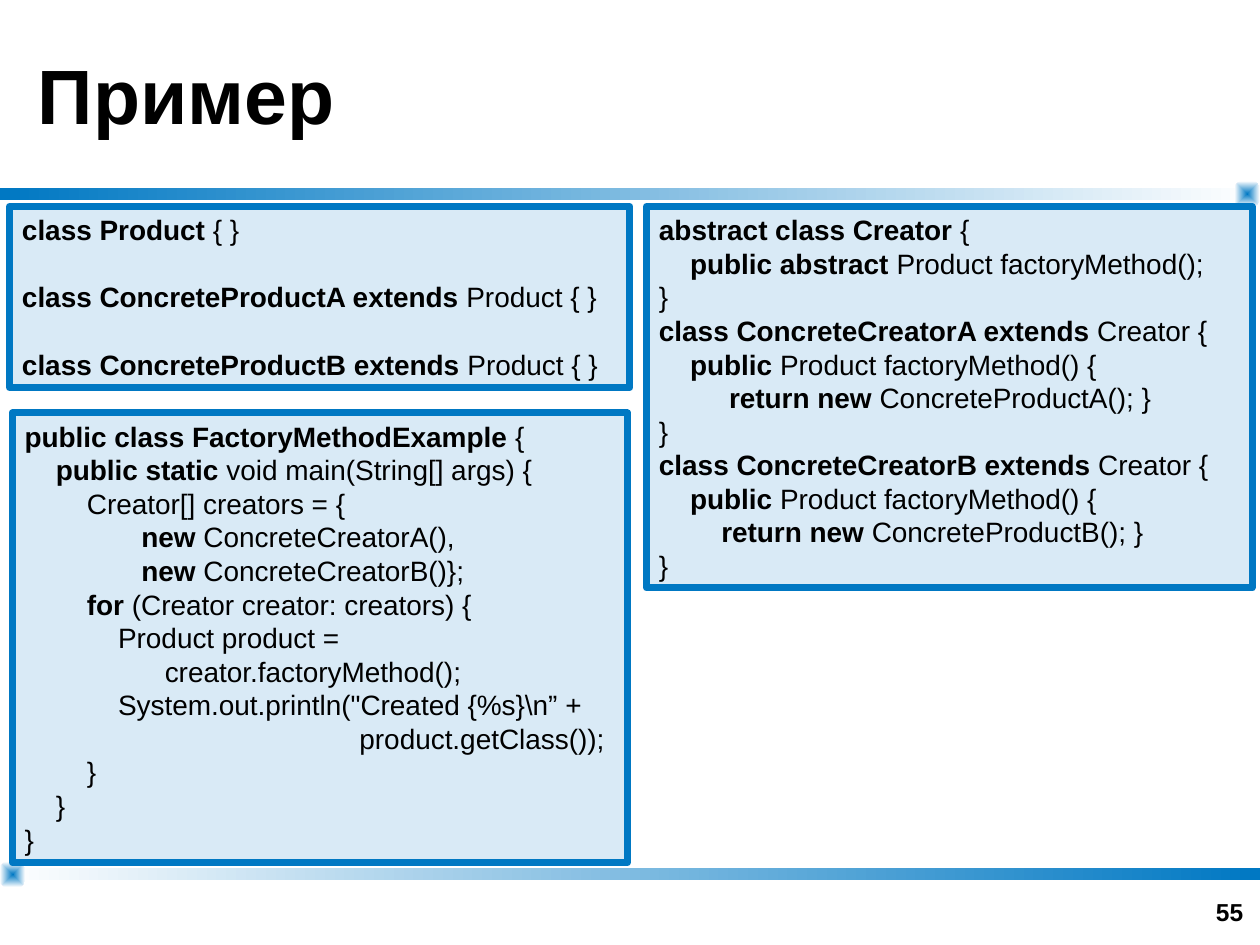
from dataclasses import dataclass

from lxml import etree
from pptx import Presentation
from pptx.dml.color import RGBColor
from pptx.enum.shapes import MSO_SHAPE
from pptx.enum.text import MSO_ANCHOR, PP_ALIGN
from pptx.oxml.ns import qn
from pptx.util import Pt

RECT = MSO_SHAPE.RECTANGLE
ROUND = MSO_SHAPE.ROUNDED_RECTANGLE
MIDDLE, BOTTOM = MSO_ANCHOR.MIDDLE, MSO_ANCHOR.BOTTOM
LEFT, RIGHT = PP_ALIGN.LEFT, PP_ALIGN.RIGHT
BLUE, WHITE, BLACK = "0078C3", "FFFFFF", "000000"
CODE_SIZE, LINE_HEIGHT, SPACE_WIDTH = 16, 19.2, 4.45


@dataclass
class Box:
    x: float
    y: float
    w: float
    h: float


@dataclass
class Band:
    box: Box
    start: str
    end: str


@dataclass
class CodePanel:
    box: Box
    code: str


BANDS = [
    Band(Box(0, 107.5, 720, 7), BLUE, WHITE),
    Band(Box(0, 496, 720, 7), WHITE, BLUE),
]
CORNERS = [Box(705.5, 103.5, 14.5, 14.5), Box(0, 492.5, 14.5, 14.5)]

PANELS = [
    CodePanel(Box(5.5, 118, 354.5, 103.5), """\
*class Product* { }

*class ConcreteProductA extends* Product { }

*class ConcreteProductB extends* Product { }"""),
    CodePanel(Box(7, 236, 351.5, 257), r"""*public class FactoryMethodExample* {
    *public static* void main(String[] args) {
        Creator[] creators = {
               *new* ConcreteCreatorA(),
               *new* ConcreteCreatorB()};
        *for* (Creator creator: creators) {
            Product product =
                  creator.factoryMethod();
            System.out.println("Created {%s}\n” +
                                           product.getClass());
        }
    }
}"""),
    CodePanel(Box(369.5, 118, 346, 218), """\
*abstract class Creator* {
    *public abstract* Product factoryMethod();
}
*class ConcreteCreatorA extends* Creator {
    *public* Product factoryMethod() {
         *return new* ConcreteProductA(); }
}
*class ConcreteCreatorB extends* Creator {
    *public* Product factoryMethod() {
        *return new* ConcreteProductB(); }
}"""),
]


def rgb(color: str) -> RGBColor:
    return RGBColor.from_string(color)


def set_all(obj, values: dict) -> None:
    for name, value in values.items():
        setattr(obj, name, value)


def place(sp, box: Box) -> None:
    set_all(sp, {"left": Pt(box.x), "top": Pt(box.y),
                 "width": Pt(box.w), "height": Pt(box.h)})


def add_run(p, text: str, size: float, bold: bool) -> None:
    r = p.add_run()
    r.text = text
    set_all(r.font, {"name": "Arial", "size": Pt(size), "bold": bold})
    r.font.color.rgb = rgb(BLACK)


def add_shape(slide, kind, box: Box):
    sp = slide.shapes.add_shape(kind, Pt(box.x), Pt(box.y), Pt(box.w), Pt(box.h))
    sp.shadow.inherit = False
    return sp


def add_gradient(slide, kind, band: Band):
    sp = add_shape(slide, kind, band.box)
    sp.line.fill.background()
    sp.fill.gradient()
    sp.fill.gradient_angle = 0
    for stop, color, position in zip(sp.fill.gradient_stops, (band.start, band.end), (0, 1)):
        stop.color.rgb = rgb(color)
        stop.position = position
    return sp


def add_corner(slide, box: Box) -> None:
    sp = add_gradient(slide, ROUND, Band(box, BLUE, WHITE))
    sp.adjustments[0] = 0.32
    grad = sp._element.spPr.find(qn("a:gradFill"))
    grad.remove(grad.find(qn("a:lin")))
    center = etree.SubElement(grad, qn("a:path"), {"path": "rect"})
    etree.SubElement(center, qn("a:fillToRect"), dict.fromkeys("ltrb", "50000"))


def add_panel(slide, panel: CodePanel) -> None:
    sp = add_shape(slide, RECT, panel.box)
    sp.fill.solid()
    sp.fill.fore_color.rgb = rgb(BLUE)
    color = sp._element.spPr.find(qn("a:solidFill"))[0]
    etree.SubElement(color, qn("a:alpha"), {"val": "15000"})
    sp.line.color.rgb = rgb(BLUE)
    sp.line.width = Pt(4)
    tf = sp.text_frame
    set_all(tf, {"word_wrap": True, "vertical_anchor": MSO_ANCHOR.TOP})
    gap = 0
    p = tf.paragraphs[0]
    for line in panel.code.splitlines():
        if not line:
            gap += LINE_HEIGHT
            continue
        if p.runs:
            p = tf.add_paragraph()
        set_all(p, {"alignment": LEFT, "line_spacing": Pt(LINE_HEIGHT),
                    "space_before": Pt(gap)})
        gap = 0
        text = line.lstrip()
        indent = Pt((len(line) - len(text)) * SPACE_WIDTH)
        p._p.get_or_add_pPr().set("marL", str(int(indent)))
        for i, part in enumerate(text.split("*")):
            if part:
                add_run(p, part, CODE_SIZE, i % 2 == 1)


def set_label(sp, text: str, size: float, align, anchor) -> None:
    tf = sp.text_frame
    set_all(tf, {"word_wrap": True, "vertical_anchor": anchor})
    p = tf.paragraphs[0]
    p.alignment = align
    add_run(p, text, size, True)


def main() -> None:
    prs = Presentation()
    set_all(prs, {"slide_width": Pt(720), "slide_height": Pt(540)})
    slide = prs.slides.add_slide(prs.slide_layouts[5])
    for band in BANDS:
        add_gradient(slide, RECT, band)
    for box in CORNERS:
        add_corner(slide, box)
    number = slide.shapes.add_textbox(Pt(549.5), Pt(497), Pt(168), Pt(36))
    set_label(number, "55", 14, RIGHT, BOTTOM)
    title = slide.shapes.title
    place(title, Box(14.5, 0, 691, 107.5))
    set_label(title, "Пример", 44, LEFT, MIDDLE)
    for panel in PANELS:
        add_panel(slide, panel)
    prs.save("out.pptx")


if __name__ == "__main__":
    main()
